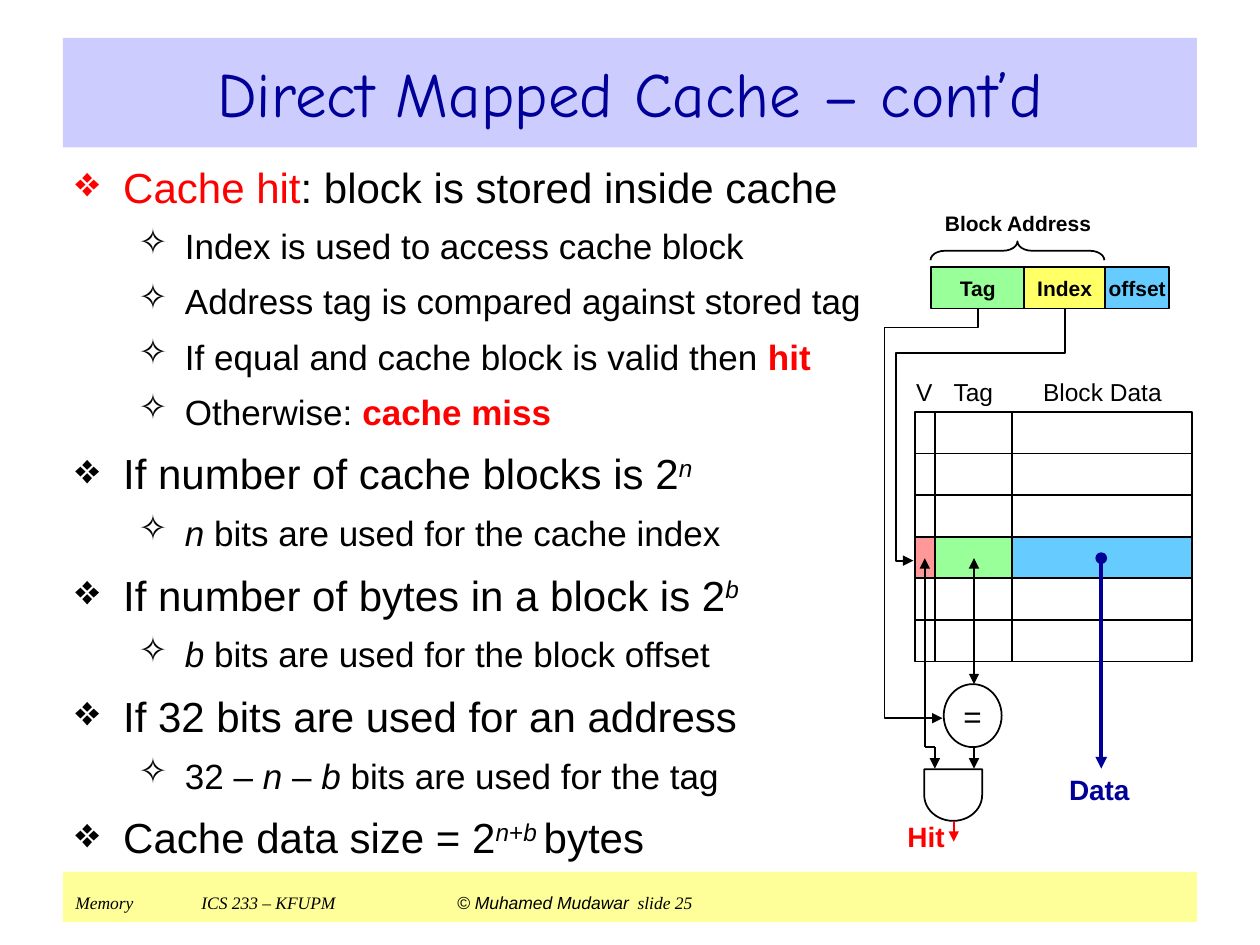
from lxml.etree import SubElement
from pptx import Presentation
from pptx.dml.color import RGBColor
from pptx.enum.shapes import MSO_CONNECTOR, MSO_SHAPE as Shape
from pptx.enum.text import MSO_ANCHOR, PP_ALIGN
from pptx.oxml.ns import qn
from pptx.util import Inches, Pt

BLACK = RGBColor(0x00, 0x00, 0x00)
WHITE = RGBColor(0xFF, 0xFF, 0xFF)
RED = RGBColor(0xFF, 0x00, 0x00)
NAVY = RGBColor(0x00, 0x00, 0x99)
LAVENDER = RGBColor(0xCC, 0xCC, 0xFF)
CREAM = RGBColor(0xFF, 0xFF, 0x99)
GREEN = RGBColor(0x99, 0xFF, 0x99)
YELLOW = RGBColor(0xFF, 0xFF, 0x66)
BLUE = RGBColor(0x66, 0xCC, 0xFF)
PINK = RGBColor(0xFF, 0x99, 0x99)

deck = Presentation()
deck.slide_width, deck.slide_height = Inches(10), Inches(7.5)
page = deck.slides.add_slide(deck.slide_layouts[6])


def add_span(para, text, size, color=BLACK, font="Arial", bold=False, italic=False):
    span = para.add_run()
    span.text = text
    span.font.size, span.font.name = Pt(size), font
    span.font.color.rgb = color
    span.font.bold, span.font.italic = bold, italic
    return span


def add_box(kind, left, top, width, height, fill=None, line=None):
    box = page.shapes.add_shape(kind, Inches(left), Inches(top), Inches(width), Inches(height))
    box.shadow.inherit = False
    if fill is None:
        box.fill.background()
    else:
        box.fill.solid()
        box.fill.fore_color.rgb = fill
    if line is None:
        box.line.fill.background()
    else:
        box.line.color.rgb = line
        box.line.width = Pt(1)
    return box


# Footer band
footer = add_box(Shape.RECTANGLE, 0.5, 6.92, 9, 0.4, CREAM)
footer.text_frame.vertical_anchor = MSO_ANCHOR.TOP
footer.text_frame.margin_top = Inches(0.05)
para = footer.text_frame.paragraphs[0]
para.alignment = PP_ALIGN.LEFT
tabs = SubElement(para._p.get_or_add_pPr(), qn("a:tabLst"))
for stop in (1, 3.03):
    SubElement(tabs, qn("a:tab"), pos=str(Inches(stop)), algn="l")
add_span(para, "Memory\tICS 233 – KFUPM\t", 10, font="Times New Roman", italic=True)
add_span(para, "© Muhamed Mudawar", 10, italic=True)
add_span(para, " ", 18)
add_span(para, "slide 25", 10, font="Times New Roman", italic=True)

# Title band
title = add_box(Shape.RECTANGLE, 0.5, 0.3, 9, 0.87, LAVENDER)
title.text_frame.vertical_anchor = MSO_ANCHOR.MIDDLE
para = title.text_frame.paragraphs[0]
para.alignment = PP_ALIGN.CENTER
add_span(para, "Direct Mapped Cache – cont’d", 36, NAVY, "Comic Neue")

# Bulleted text: level, then spans marked "" plain, r red, b bold, i italic, s superscript
points = [
    (0, [("Cache hit", "r"), (": block is stored inside cache", "")]),
    (1, [("Index is used to access cache block", "")]),
    (1, [("Address tag is compared against stored tag", "")]),
    (1, [("If equal and cache block is valid then ", ""), ("hit", "rb")]),
    (1, [("Otherwise: ", ""), ("cache miss", "rb")]),
    (0, [("If number of cache blocks is 2", ""), ("n", "is")]),
    (1, [("n", "i"), (" bits are used for the cache index", "")]),
    (0, [("If number of bytes in a block is 2", ""), ("b", "is")]),
    (1, [("b", "i"), (" bits are used for the block offset", "")]),
    (0, [("If 32 bits are used for an address", "")]),
    (1, [("32 – ", ""), ("n", "i"), (" – ", ""), ("b", "i"), (" bits are used for the tag", "")]),
    (0, [("Cache data size = 2", ""), ("n", "is"), ("+", "s"), ("b ", "is"), ("bytes", "")]),
]
# Per level: bullet, text size, space before, left margin, first-line indent
levels = [("❖", 24, 9, 0.38, -0.38), ("✧", 20, 7.5, 0.87, -0.37)]
body = page.shapes.add_textbox(Inches(0.5), Inches(1.23), Inches(9), Inches(5.63)).text_frame
body.word_wrap = True
for number, (level, spans) in enumerate(points):
    bullet, size, space, margin, indent = levels[level]
    para = body.add_paragraph() if number else body.paragraphs[0]
    para.level = level
    props = para._p.get_or_add_pPr()
    props.set("marL", str(Inches(margin)))
    props.set("indent", str(Inches(indent)))
    bullet_color = SubElement(props, qn("a:buClr"))
    SubElement(bullet_color, qn("a:srgbClr"), val=str(BLACK if number else RED))
    SubElement(props, qn("a:buChar"), char=bullet)
    if number:
        para.space_before = Pt(space)
    for text, marks in spans:
        span = add_span(para, text, size, RED if "r" in marks else BLACK,
                        bold="b" in marks, italic="i" in marks)
        if "s" in marks:
            span.font._element.set("baseline", "30000")

# Cache array, selected row, comparator and address fields
cache_left, cache_top, cache_right, row = 7.26, 3.27, 9.46, 0.33
tag_left, data_left = 7.42, 8.03
hit_row = cache_top + 3 * row
diagram = [
    (Shape.RECTANGLE, cache_left, cache_top, 2.2, 6 * row, WHITE, ""),
    (Shape.RECTANGLE, cache_left, hit_row, 0.16, row, PINK, ""),
    (Shape.RECTANGLE, tag_left, hit_row, 0.61, row, GREEN, ""),
    (Shape.RECTANGLE, data_left, hit_row, 1.43, row, BLUE, ""),
    (Shape.OVAL, 7.49, 5.43, 0.46, 0.5, WHITE, "="),
    (Shape.RECTANGLE, 7.39, 2.12, 0.74, 0.33, GREEN, "Tag"),
    (Shape.RECTANGLE, 8.13, 2.12, 0.64, 0.33, YELLOW, "Index"),
    (Shape.RECTANGLE, 8.77, 2.12, 0.51, 0.33, BLUE, "offset"),
]
for kind, left, top, width, height, fill, text in diagram:
    box = add_box(kind, left, top, width, height, fill, BLACK)
    if text:
        frame = box.text_frame
        frame.margin_left = frame.margin_right = frame.margin_top = frame.margin_bottom = 0
        frame.vertical_anchor = MSO_ANCHOR.MIDDLE
        frame.word_wrap = False
        frame.paragraphs[0].alignment = PP_ALIGN.CENTER
        is_field = kind == Shape.RECTANGLE
        add_span(frame.paragraphs[0], text, 12 if is_field else 18, bold=is_field)

# AND gate and the brace over the block address
gate = add_box(Shape.FLOWCHART_DELAY, 7.36, 6.08, 0.41, 0.46, WHITE, BLACK)
gate.rotation = 90
brace = add_box(Shape.RIGHT_BRACE, 8, 1.3, 0.15, 1.38, None, BLACK)
brace.rotation = 270
brace.adjustments[0] = 0.77

# Free labels
labels = [
    ("V", 7.26, 2.9, 0.15, 0.41, 14, BLACK, False),
    ("Tag", 7.42, 2.9, 0.61, 0.41, 14, BLACK, False),
    ("Block Data", 8.03, 2.9, 1.44, 0.41, 14, BLACK, False),
    ("Block Address", 7.39, 1.67, 1.38, 0.2, 12, BLACK, True),
    ("Hit", 7.12, 6.47, 0.46, 0.33, 16, RED, True),
    ("Data", 8.46, 6.1, 0.53, 0.33, 16, NAVY, True),
]
for text, left, top, width, height, size, color, bold in labels:
    frame = page.shapes.add_textbox(Inches(left), Inches(top), Inches(width), Inches(height)).text_frame
    frame.margin_left = frame.margin_right = frame.margin_top = frame.margin_bottom = 0
    frame.vertical_anchor = MSO_ANCHOR.MIDDLE
    frame.word_wrap = True
    frame.paragraphs[0].alignment = PP_ALIGN.CENTER
    add_span(frame.paragraphs[0], text, size, color, bold=bold)

# Grid lines and wires: points, colour, width, head, tail
wires = [([(cache_left, cache_top + n * row), (cache_right, cache_top + n * row)],
          BLACK, 1, None, None) for n in (1, 2, 5)]
wires += [([(x, cache_top), (x, cache_top + 6 * row)], BLACK, 1, None, None)
          for x in (tag_left, data_left)]
wires += [
    ([(8.74, 4.43), (8.74, 6.1)], NAVY, 2.25, "oval", "triangle"),
    ([(7.73, 4.43), (7.73, 5.43)], BLACK, 1, "triangle", "triangle"),
    ([(7.73, 5.93), (7.73, 6.1)], BLACK, 1, None, "triangle"),
    ([(7.42, 5.93), (7.42, 6.1)], BLACK, 1, None, "triangle"),
    ([(7.57, 6.52), (7.57, 6.68)], RED, 1, None, "triangle"),
    ([(7.42, 5.93), (7.34, 5.93)], BLACK, 1, None, None),
    ([(7.34, 4.43), (7.34, 5.93)], BLACK, 1, "triangle", None),
    ([(8.45, 2.45), (8.45, 2.8), (7.11, 2.8), (7.11, 4.45), (7.25, 4.45)], BLACK, 1, None, "triangle"),
    ([(7.76, 2.45), (7.76, 2.6), (7.02, 2.6), (7.02, 5.7), (7.48, 5.7)], BLACK, 1, None, "triangle"),
]
for corners, color, width, head, tail in wires:
    corners = [(Inches(x), Inches(y)) for x, y in corners]
    if len(corners) == 2:
        wire = page.shapes.add_connector(MSO_CONNECTOR.STRAIGHT, *corners[0], *corners[1])
    else:
        builder = page.shapes.build_freeform(*corners[0])
        builder.add_line_segments(corners[1:], close=False)
        wire = builder.convert_to_shape()
        wire.fill.background()
    wire.line.color.rgb = color
    wire.line.width = Pt(width)
    for end, style in (("a:headEnd", head), ("a:tailEnd", tail)):
        if style:
            SubElement(wire.line._get_or_add_ln(), qn(end), type=style)
    SubElement(wire._element.spPr, qn("a:effectLst"))

deck.save("out.pptx")
